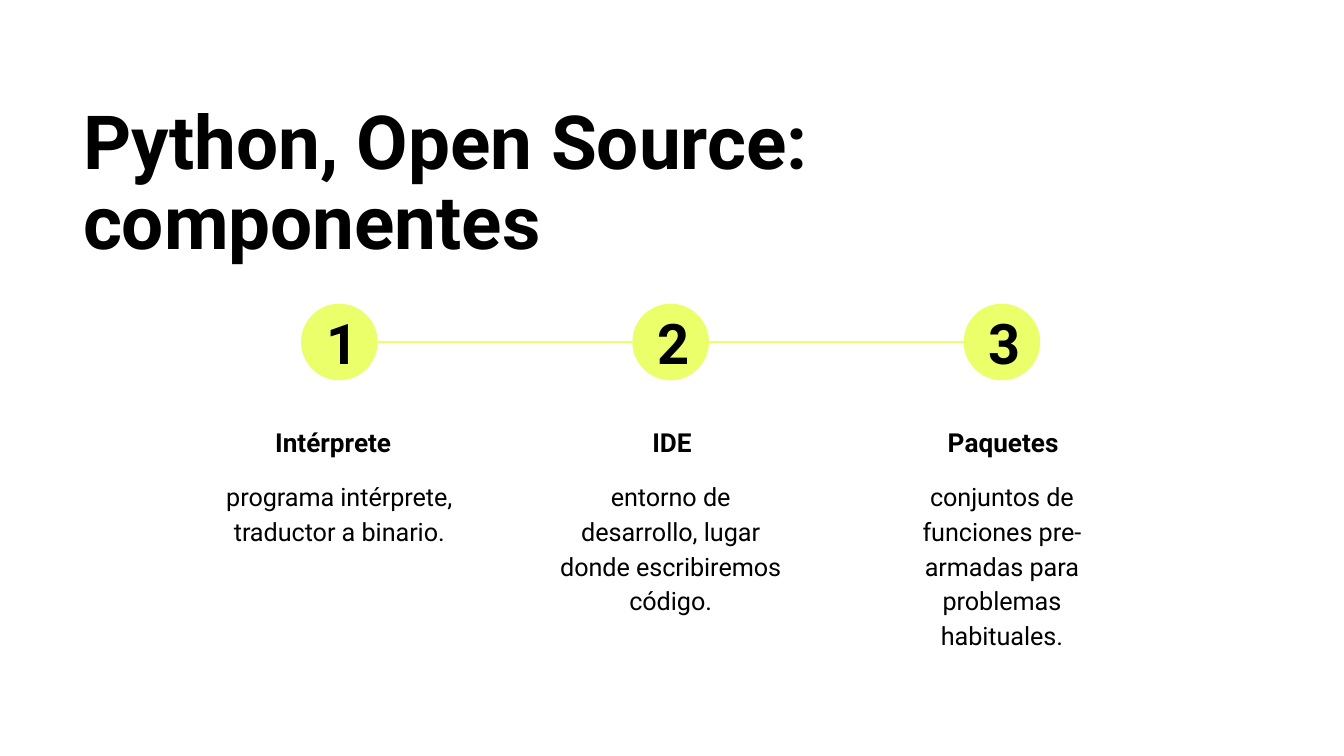
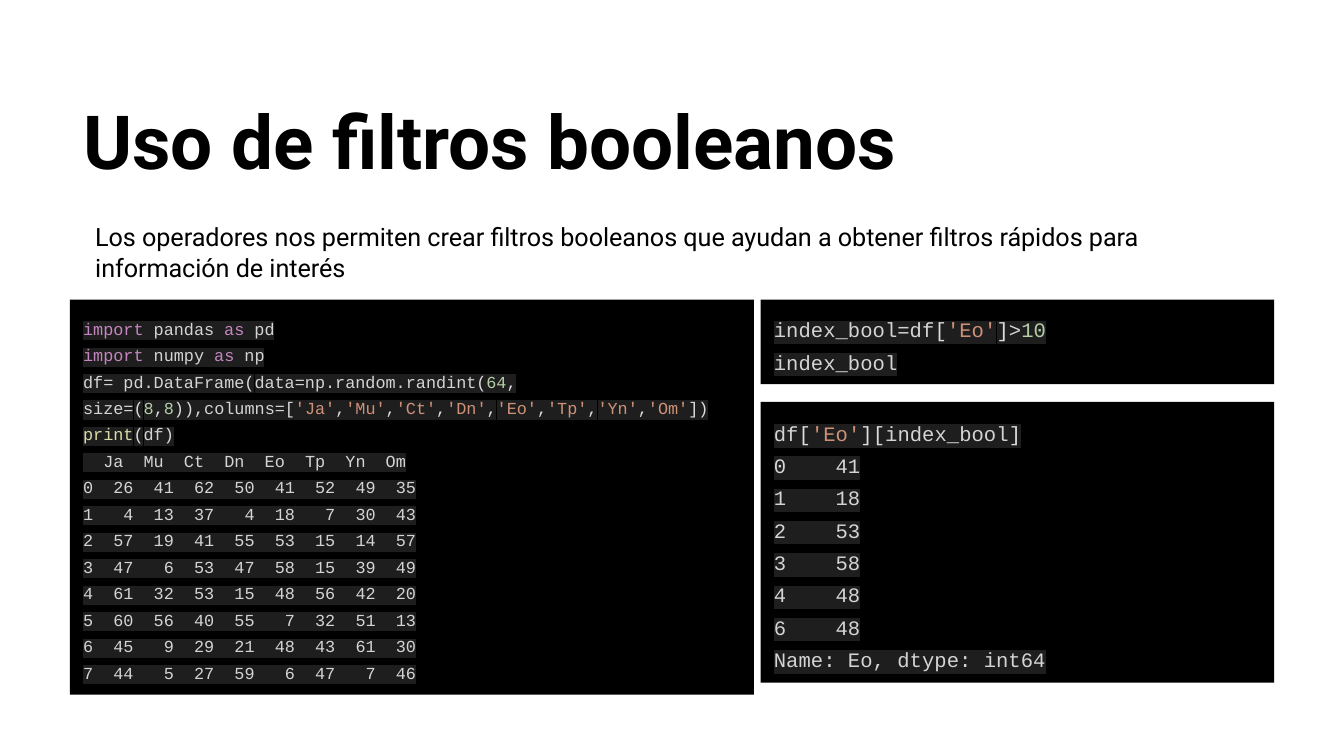
from itertools import groupby, pairwise

from lxml.etree import SubElement
from pptx import Presentation
from pptx.dml.color import RGBColor
from pptx.enum.shapes import MSO_CONNECTOR as Connector, MSO_SHAPE as Preset
from pptx.enum.text import MSO_ANCHOR as Anchor, MSO_AUTO_SIZE as AutoSize, PP_ALIGN as Align
from pptx.oxml.ns import qn
from pptx.util import Inches, Pt

COLORS = {
    "background": "FFFFFF",
    "text": "000000",
    "accent": "EAFF6A",
    "panel": "000000",
    "highlight": "1E1E1E",
    "plain": "D4D4D4",
    "punctuation": "DCDCDC",
    "keyword": "C586C0",
    "function": "DCDCAA",
    "number": "B5CEA8",
    "string": "CE9178",
}
COLUMNS = 100
SLIDE_WIDTH = Inches(10)
SLIDE_HEIGHT = SLIDE_WIDTH * 9 // 16
CELL = SLIDE_WIDTH // COLUMNS

FIRST_CENTER, STEP_GAP, AXIS_ROW = 25.25, 24.65, 25.45
CIRCLE = 5.7
LABEL_WIDTH, BODY_WIDTH = 19, 18.9
PANEL_TOP = 22.3
RIGHT_LEFT, RIGHT_WIDTH = 56.6, 38.2

STEPS = [
    ("1", "Intérprete", "programa intérprete, traductor a binario.", 12.1, -0.45),
    ("2", "IDE", "entorno de desarrollo, lugar donde escribiremos código.", 17.4, 0.1),
    ("3", "Paquetes", "conjuntos de funciones pre-armadas para problemas habituales.", 17.4, 0.1),
]

FRAME_CODE = """import pandas as pd
import numpy as np
df= pd.DataFrame(data=np.random.randint(64, size=(8,8)),columns=['Ja','Mu','Ct','Dn','Eo','Tp','Yn','Om'])
print(df)"""
FRAME_OUTPUT = """  Ja  Mu  Ct  Dn  Eo  Tp  Yn  Om
0  26  41  62  50  41  52  49  35
1   4  13  37   4  18   7  30  43
2  57  19  41  55  53  15  14  57
3  47   6  53  47  58  15  39  49
4  61  32  53  15  48  56  42  20
5  60  56  40  55   7  32  51  13
6  45   9  29  21  48  43  61  30
7  44   5  27  59   6  47   7  46"""
INDEX_CODE = """index_bool=df['Eo']>10
index_bool"""
FILTER_CODE = "df['Eo'][index_bool]"
FILTER_OUTPUT = """0    41
1    18
2    53
3    58
4    48
6    48
Name: Eo, dtype: int64"""


def cells(*counts):
    return [round(count * CELL) for count in counts]


def color(name):
    return RGBColor.from_string(COLORS[name])


def prepare_frame(shape, anchor=Anchor.TOP):
    frame = shape.text_frame
    frame.word_wrap = True
    frame.auto_size = AutoSize.SHAPE_TO_FIT_TEXT
    frame.vertical_anchor = anchor
    frame.margin_left = frame.margin_right = Inches(0.1)
    frame.margin_top = frame.margin_bottom = Inches(0.1)
    return frame


def add_run(paragraph, text, *, size, font="Roboto", fill="text", bold=False, highlight=None):
    run = paragraph.add_run()
    run.text = text
    run.font.size = Pt(size)
    run.font.bold = bold
    run.font.color.rgb = color(fill)
    if highlight:
        mark = SubElement(run.font._element, qn("a:highlight"))
        SubElement(mark, qn("a:srgbClr"), val=COLORS[highlight])
    run.font.name = font


def add_text(slide, text, box, *, align=Align.LEFT, spacing=None, **style):
    shape = slide.shapes.add_textbox(*cells(*box))
    paragraph = prepare_frame(shape).paragraphs[0]
    paragraph.alignment = align
    paragraph.line_spacing = spacing
    add_run(paragraph, text, **style)


def add_title(slide, text, height):
    add_text(slide, text, (5.2, 6.8, 89, height), size=40, bold=True, spacing=0.9)


def add_filled(slide, preset, box, fill):
    shape = slide.shapes.add_shape(preset, *cells(*box))
    shape.shadow.inherit = False
    shape.fill.solid()
    shape.fill.fore_color.rgb = color(fill)
    shape.line.fill.background()
    return shape


def add_link(slide, start, end):
    link = slide.shapes.add_connector(Connector.STRAIGHT, *cells(start, AXIS_ROW, end, AXIS_ROW))
    link.line.color.rgb = color("accent")
    link.line.width = Pt(0.75)
    SubElement(link._element.spPr, qn("a:effectLst"))


def add_step(slide, center, number, label, body, body_height, label_shift):
    circle_box = (center - CIRCLE / 2, AXIS_ROW - CIRCLE / 2, CIRCLE, CIRCLE)
    add_filled(slide, Preset.OVAL, circle_box, "accent")
    add_text(slide, number, (center - 1.95, 22.5, 4, 6.6),
             size=30, bold=True, align=Align.CENTER, spacing=0.9)
    add_text(slide, label, (center + label_shift - LABEL_WIDTH / 2, 30.4, LABEL_WIDTH, 4.4),
             size=14, bold=True, align=Align.CENTER, spacing=1.15)
    add_text(slide, body, (center - BODY_WIDTH / 2, 34.5, BODY_WIDTH, body_height),
             size=13.5, align=Align.CENTER, spacing=1.15)


def character_class(character):
    if character in "()[],":
        return "punctuation"
    return "plain" if character in " =>" else "word"


def token_color(kind, token):
    if kind != "word":
        return kind
    if token in ("import", "as"):
        return "keyword"
    if token == "print":
        return "function"
    if token.startswith("'"):
        return "string"
    return "number" if token.isdigit() else "plain"


def code_tokens(line):
    for kind, characters in groupby(line, character_class):
        token = "".join(characters)
        yield token, token_color(kind, token)


def add_code_panel(slide, box, size, code, output=""):
    frame = prepare_frame(add_filled(slide, Preset.RECTANGLE, box, "panel"), Anchor.MIDDLE)
    lines = [list(code_tokens(line)) for line in code.splitlines()]
    lines += [[(line, "plain")] for line in output.splitlines()]
    for index, tokens in enumerate(lines):
        paragraph = frame.add_paragraph() if index else frame.paragraphs[0]
        paragraph.alignment = Align.LEFT
        paragraph.line_spacing = 1.31
        for token, fill in tokens:
            add_run(paragraph, token, size=size, font="Courier New", fill=fill, highlight="highlight")


def add_slide(presentation):
    slide = presentation.slides.add_slide(presentation.slide_layouts[6])
    slide.background.fill.solid()
    slide.background.fill.fore_color.rgb = color("background")
    return slide


def build_components(presentation):
    slide = add_slide(presentation)
    add_title(slide, "Python, Open Source: componentes", 14.1)
    centers = [FIRST_CENTER + index * STEP_GAP for index in range(len(STEPS))]
    for left, right in pairwise(centers):
        add_link(slide, left + CIRCLE / 2, right - CIRCLE / 2)
    for center, step in zip(centers, STEPS):
        add_step(slide, center, *step)


def build_filters(presentation):
    slide = add_slide(presentation)
    add_title(slide, "Uso de filtros booleanos", 26.3)
    add_text(slide, "Los operadores nos permiten crear filtros booleanos que ayudan a obtener "
             "filtros rápidos para información de interés", (6.1, 15.5, 79.8, 8.8), size=13.5)
    add_code_panel(slide, (5.2, PANEL_TOP, 50.9, 29.4), 9, FRAME_CODE, FRAME_OUTPUT)
    add_code_panel(slide, (RIGHT_LEFT, 29.9, RIGHT_WIDTH, 20.9), 11, FILTER_CODE, FILTER_OUTPUT)
    add_code_panel(slide, (RIGHT_LEFT, PANEL_TOP, RIGHT_WIDTH, 6.3), 11, INDEX_CODE)


def main():
    presentation = Presentation()
    presentation.slide_width = SLIDE_WIDTH
    presentation.slide_height = SLIDE_HEIGHT
    build_components(presentation)
    build_filters(presentation)
    presentation.save("out.pptx")


if __name__ == "__main__":
    main()
